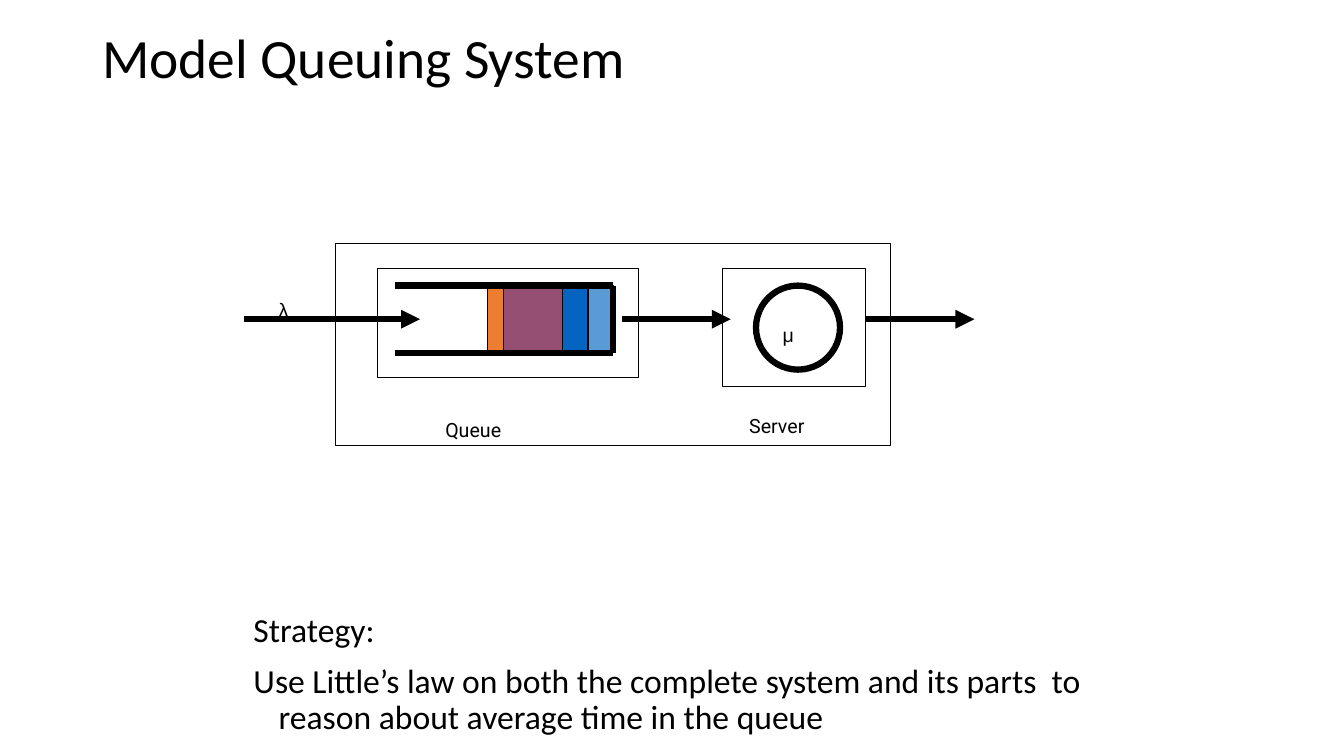
from lxml import etree
from pptx import Presentation
from pptx import util as u
from pptx.dml.color import RGBColor
from pptx.enum import shapes, text
from pptx.oxml.ns import qn

BLACK = RGBColor(0x00, 0x00, 0x00)
ORANGE = RGBColor(0xED, 0x7D, 0x31)
PURPLE = RGBColor(0x95, 0x4F, 0x72)
BLUE = RGBColor(0x05, 0x63, 0xC1)
LIGHT_BLUE = RGBColor(0x5B, 0x9B, 0xD5)
THIN, THICK = 0.75, 4.5
JOBS = [(12, ORANGE), (42, PURPLE), (18, BLUE), (18, LIGHT_BLUE)]


def add_text(page, box, lines, font, size, wrap=True, anchor=text.MSO_ANCHOR.TOP, **spacing):
    """Put paragraphs of one font into a text box and return them."""
    frame = page.shapes.add_textbox(*map(u.Pt, box)).text_frame
    frame.word_wrap, frame.vertical_anchor = wrap, anchor
    frame.text = "\n".join(lines)
    for para in frame.paragraphs:
        for name, value in spacing.items():
            setattr(para, name, value)
        span = para.runs[0]
        for name, value in {"name": font, "size": u.Pt(size)}.items():
            setattr(span.font, name, value)
        span.font.color.rgb = BLACK
    return frame.paragraphs


def add_outline(page, kind, box, width=THIN, fill=None):
    """Draw a black-edged shape, hollow unless a fill is given."""
    shape = page.shapes.add_shape(kind, *map(u.Pt, box))
    shape.shadow.inherit = False
    shape.line.color.rgb = BLACK
    shape.line.width = u.Pt(width)
    if fill is None:
        shape.fill.background()
    else:
        shape.fill.solid()
        shape.fill.fore_color.rgb = fill


def add_line(page, start, end, arrow=False):
    """Draw a thick black line, with an arrowhead at its end if asked."""
    line = page.shapes.add_connector(
        shapes.MSO_CONNECTOR.STRAIGHT, *map(u.Pt, (*start, *end)))
    line.line.color.rgb = BLACK
    line.line.width = u.Pt(THICK)
    properties = line._element.spPr
    if arrow:
        etree.SubElement(properties.find(qn("a:ln")), qn("a:tailEnd"), type="triangle")
    etree.SubElement(properties, qn("a:effectLst"))


def add_queue(page, box):
    """Draw the queue with its waiting jobs and open left end."""
    left, top, width, height = box
    start, end = left + 12, left + width - 18
    upper, lower = top + 12, top + 60
    job_left = end - sum(job_width for job_width, _ in JOBS)
    for job_width, color in JOBS:
        add_outline(page, shapes.MSO_SHAPE.RECTANGLE,
                    (job_left, upper, job_width, lower - upper), fill=color)
        job_left += job_width
    for y in (upper, lower):
        add_line(page, (start, y), (end, y))
    add_line(page, (end, upper), (end, lower))
    add_outline(page, shapes.MSO_SHAPE.RECTANGLE, box)
    add_text(page, (left + 41, top + 103, 91, 25), ["Queue"], "Roboto", 14, wrap=False)


def add_server(page, box):
    """Draw the server with its service rate."""
    left, top, _, _ = box
    add_outline(page, shapes.MSO_SHAPE.OVAL, (left + 24, top + 12, 60, 60), THICK)
    add_outline(page, shapes.MSO_SHAPE.RECTANGLE, box)
    add_text(page, (left + 12, top + 100, 90, 25), ["Server"], "Roboto", 14, wrap=False)
    add_text(page, (left + 36, top + 35, 36, 25), ["μ"], "Arial", 14)


def add_system(page, box):
    """Draw the whole queuing system and the flow through it."""
    left, top, _, _ = box
    add_outline(page, shapes.MSO_SHAPE.RECTANGLE, box)
    add_queue(page, (left + 30, top + 18, 186, 78))
    add_server(page, (left + 276, top + 18, 102, 84))
    flow = top + 54
    for start, end in [(-66, 60), (204, 282), (378, 456)]:
        add_line(page, (left + start, flow), (left + end, flow), arrow=True)
    add_text(page, (left - 48, top + 35, 36, 25), ["λ"], "Arial", 14)


def add_strategy(page, box):
    """Write the strategy with hanging indents."""
    lines = ["Strategy:",
             "Use Little’s law on both the complete system and its parts  to "
             "reason about average time in the queue"]
    for para in add_text(page, box, lines, "Calibri", 24,
                         line_spacing=0.9, space_before=u.Pt(10)):
        properties = para._p.get_or_add_pPr()
        properties.set("marL", str(u.Pt(18)))
        properties.set("indent", str(-u.Pt(18)))


def main():
    """Build and save the deck."""
    deck = Presentation()
    deck.slide_width, deck.slide_height = u.Pt(960), u.Pt(540)
    page = deck.slides.add_slide(deck.slide_layouts[6])
    add_text(page, (66, 29, 828, 28), ["Model Queuing System"], "Calibri", 39.6,
             anchor=text.MSO_ANCHOR.MIDDLE, line_spacing=0.9)
    add_system(page, (240, 174, 396, 144))
    add_strategy(page, (174, 435, 612, 105))
    deck.save("out.pptx")


if __name__ == "__main__":
    main()
